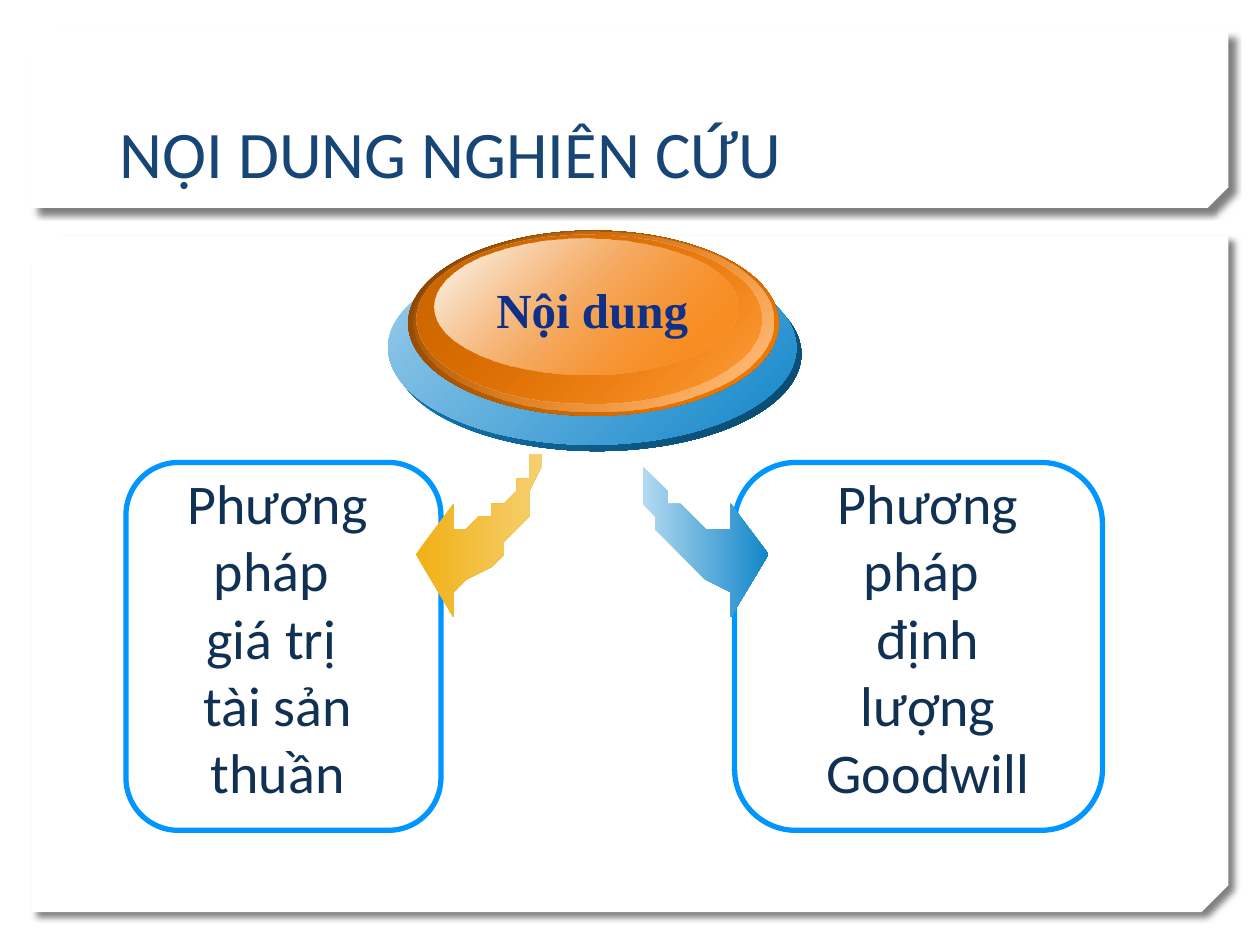
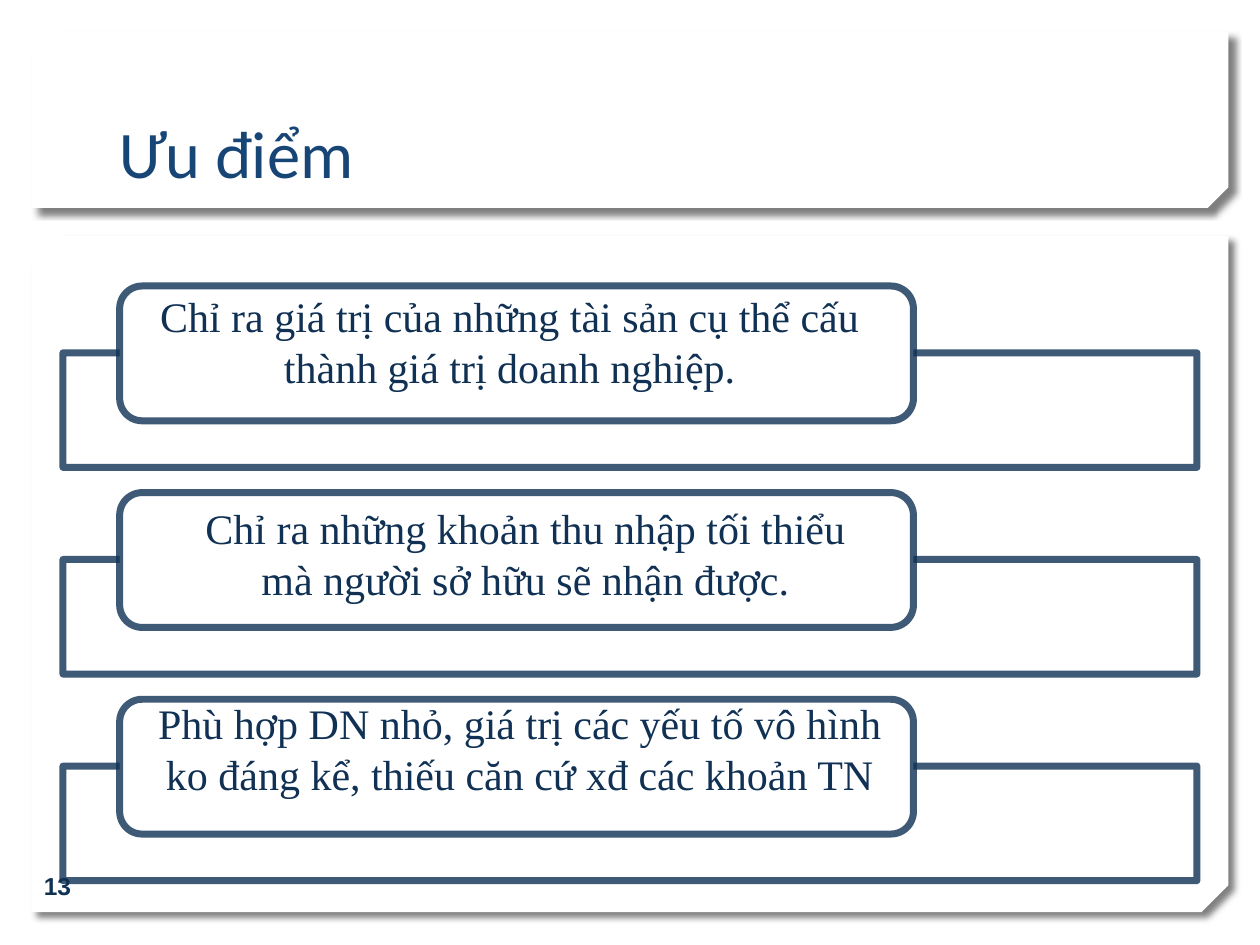
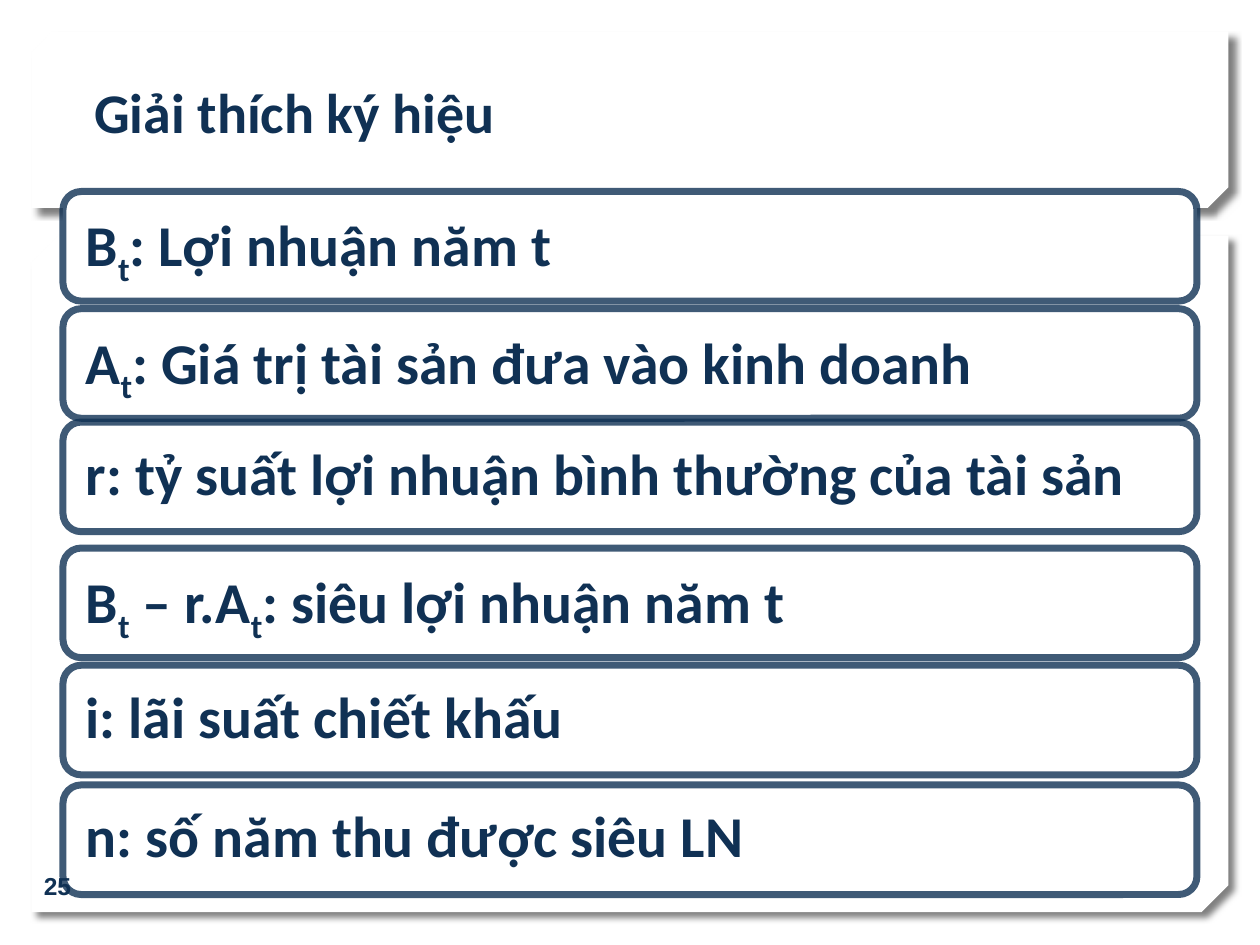
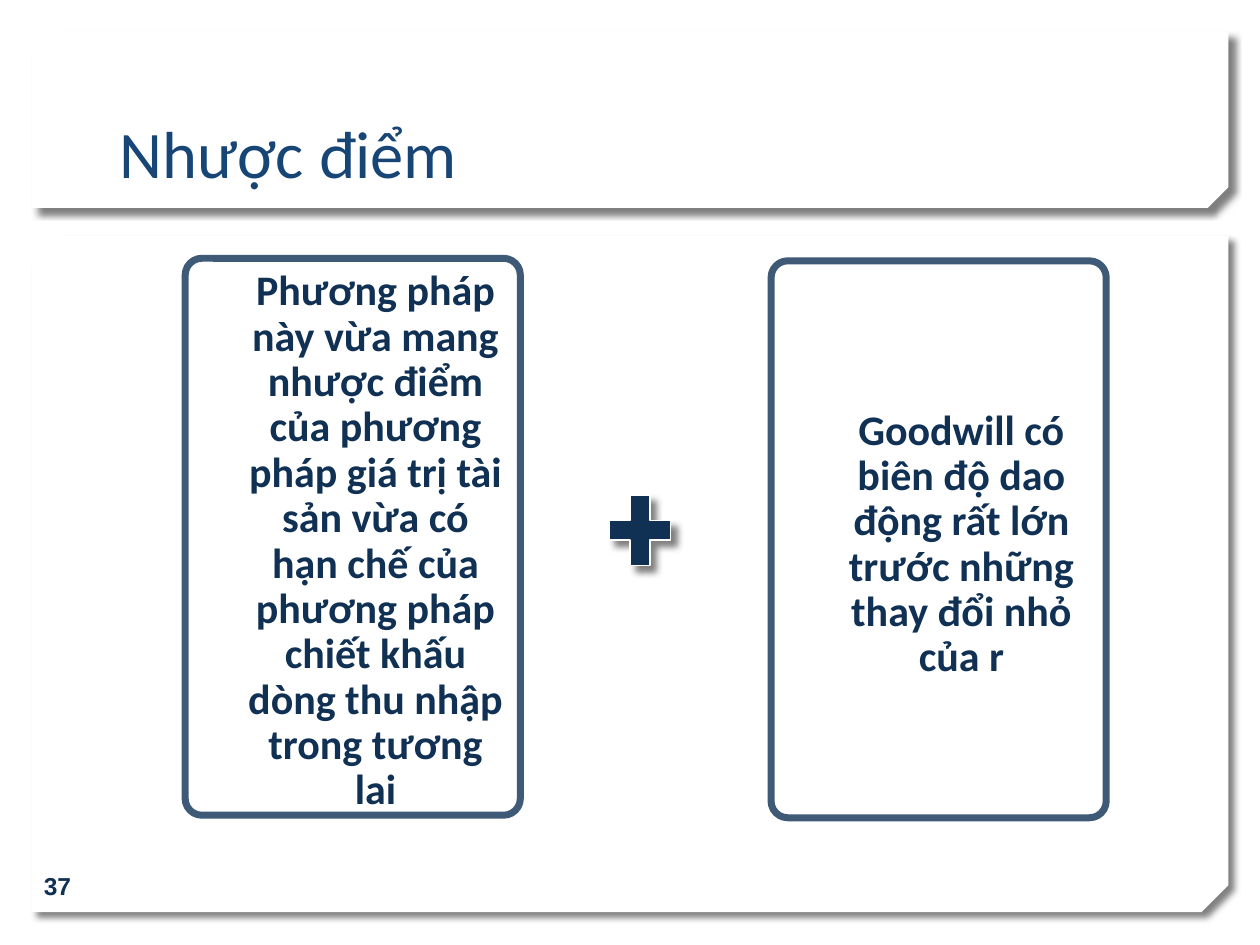
from dataclasses import dataclass

from lxml import etree
from pptx import Presentation
from pptx import util as u
from pptx.dml.color import RGBColor
from pptx.enum import shapes, text
from pptx.oxml.ns import qn

SHAPE = shapes.MSO_SHAPE
ANCHOR = text.MSO_ANCHOR
ALIGN = text.PP_ALIGN
COLS, ROWS = 100, 75
CELL = u.Inches(0.1)


@dataclass(frozen=True)
class Theme:
    # Colours
    paper: str = "FFFFFF"
    title: str = "174576"
    ink: str = "103154"
    frame: str = "0096FF"
    badge_text: str = "103088"
    shadow: str = "000000"
    gold: tuple = ("F1B015", "F6D070")
    sky: tuple = ("B4DAF0", "1286C9")
    # Fonts
    sans: str = "Calibri"
    serif: str = "Times New Roman"
    number: str = "Arial"
    # Type sizes
    title_size: int = 38
    symbol_size: int = 33
    large: int = 32
    badge_size: int = 28
    body: int = 24
    small: int = 14


def set_alpha(color, percent):
    etree.SubElement(color, qn("a:alpha")).set("val", str(percent * 1000))


class Deck:
    """Holds the theme and the current slide; lengths are grid cells."""

    def __init__(self, theme):
        self.t = theme
        self.prs = Presentation()
        self.prs.slide_width = COLS * CELL
        self.prs.slide_height = ROWS * CELL
        self.s = None

    def slide(self, title=None):
        self.s = self.prs.slides.add_slide(self.prs.slide_layouts[6])
        for top, height, snip in ((18.7, 53.7, 0.04), (2.5, 14, 0.117)):
            sp = self.shape(SHAPE.SNIP_2_DIAG_RECTANGLE, 2.5, top, 95, height,
                            fill=self.t.paper, adj=(0, snip), shadow=True)
            sp.element.spPr.find(qn("a:xfrm")).set("flipV", "1")
        if title:
            self.text(title, 8.5, 3.2, 82.9, 12.5, size=self.t.title_size,
                      color=self.t.title, anchor=ANCHOR.BOTTOM)

    def page_number(self, number):
        self.text(str(number), 2.5, 68.3, 23.3, 4, size=self.t.small,
                  font=self.t.number, bold=True, anchor=ANCHOR.MIDDLE)

    def shape(self, kind, x, y, w, h, fill=None, line=None, adj=(), shadow=False):
        """fill is a colour; line is (colour, points, opacity)."""
        sp = self.s.shapes.add_shape(kind, *(round(v * CELL) for v in (x, y, w, h)))
        for i, value in enumerate(adj):
            sp.adjustments[i] = value
        if fill:
            sp.fill.solid()
            sp.fill.fore_color.rgb = RGBColor.from_string(fill)
        else:
            sp.fill.background()
        self.outline(sp, line)
        sp.shadow.inherit = False
        if shadow:
            self.drop_shadow(sp)
        return sp

    def outline(self, sp, line):
        if not line:
            sp.line.fill.background()
            return
        color, width, opacity = line
        sp.line.color.rgb = RGBColor.from_string(color)
        sp.line.width = u.Pt(width)
        if opacity < 100:
            set_alpha(next(sp.line._get_or_add_ln().iter(qn("a:srgbClr"))), opacity)

    def drop_shadow(self, sp):
        effects = sp.element.spPr.find(qn("a:effectLst"))
        shadow = etree.SubElement(effects, qn("a:outerShdw"), blurRad=str(u.Pt(4)),
                                  dist=str(u.Pt(5)), dir="2700000", algn="tl",
                                  rotWithShape="0")
        color = etree.SubElement(shadow, qn("a:srgbClr"), val=self.t.shadow)
        set_alpha(color, 50)

    def gradient(self, sp, colors, angle=0, opacity=(100, 100)):
        sp.fill.gradient()
        sp.fill.gradient_angle = -angle % 360
        for stop, color in zip(sp.fill.gradient_stops, colors):
            stop.color.rgb = RGBColor.from_string(color)
        grad = sp.element.spPr.find(qn("a:gradFill"))
        for color, percent in zip(list(grad.iter(qn("a:srgbClr"))), opacity):
            if percent < 100:
                set_alpha(color, percent)

    def ellipse(self, x, y, w, h, colors, opacity=(100, 100)):
        self.gradient(self.shape(SHAPE.OVAL, x, y, w, h), colors, 45, opacity)

    def freeform(self, points, colors):
        builder = self.s.shapes.build_freeform(*points[0], scale=float(CELL))
        builder.add_line_segments(points[1:], close=True)
        sp = builder.convert_to_shape()
        self.gradient(sp, colors)
        self.outline(sp, None)
        sp.shadow.inherit = False

    def card(self, x, y, w, h, kind=SHAPE.ROUNDED_RECTANGLE, adj=()):
        return self.shape(kind, x, y, w, h, fill=self.t.paper,
                          line=(self.t.ink, 4, 80), adj=adj)

    def text(self, content, x, y, w, h, size, font=None, color=None, bold=False,
             align=ALIGN.LEFT, anchor=ANCHOR.TOP, insets=(1, 0.5, 1, 0.5),
             spacing=None, wrap=True):
        """Lines become paragraphs; parts between bars are subscripts."""
        box = self.s.shapes.add_textbox(*(round(v * CELL) for v in (x, y, w, h)))
        tf = box.text_frame
        tf.word_wrap = wrap
        tf.vertical_anchor = anchor
        tf.margin_left, tf.margin_top, tf.margin_right, tf.margin_bottom = (
            round(v * CELL) for v in insets)
        tf.text = content.replace("|", "")
        for p, line in zip(tf.paragraphs, content.split("\n")):
            p.alignment = align
            p.line_spacing = spacing
            parts = line.split("|")
            p.runs[0].text = parts[0]
            for part in parts[1:]:
                p.add_run().text = part
            for i, r in enumerate(p.runs):
                r.font.size = u.Pt(size)
                r.font.name = font or self.t.sans
                r.font.bold = bold
                r.font.color.rgb = RGBColor.from_string(color or self.t.ink)
                if i % 2:
                    r.font._element.set("baseline", "-25000")


# Left arrow outline in grid cells; the right arrow mirrors it
ARROW = [(42.6, 35.6), (42.6, 37.1), (42.4, 38.6), (42.1, 39.9), (41.7, 41.1),
         (41.2, 42.2), (40.4, 43.3), (39.6, 44.3), (38.6, 45.1), (37.3, 46),
         (35.9, 46.8), (35.9, 49.2), (32.7, 44.4), (35.9, 39.5), (35.9, 41.9),
         (36.6, 41.9), (37.2, 41.7), (38, 41.3), (38.7, 40.9), (39.4, 40.4),
         (40.1, 39.8), (40.8, 39.1), (41.4, 38.4), (41.9, 37.7), (42.2, 37),
         (42.5, 36.3)]
ARROW_AXIS = 46.7


def content_slide(d):
    t = d.t
    d.slide("NỘI DUNG NGHIÊN CỨU")
    # Method frames and the arrows to them
    for x, w in ((58.3, 29.2), (10, 25)):
        d.shape(SHAPE.ROUNDED_RECTANGLE, x, 36.7, w, 29.2, line=(t.frame, 3, 100))
    d.freeform(ARROW, t.gold)
    d.freeform([(2 * ARROW_AXIS - x, y) for x, y in ARROW], t.sky)
    # Layered badge
    d.ellipse(31.2, 20.4, 32.4, 15.4, ("1286C9", "0A4668"))
    d.ellipse(30.8, 19.9, 32.4, 15.4, ("9CCDEB", "1286C9"))
    d.ellipse(32.4, 18.3, 29.4, 14.7, ("7F4001", "FF7F01"))
    d.ellipse(32.8, 18.4, 28.6, 14.3, ("FF7F01", "FFC891"), (0, 100))
    d.ellipse(33.1, 18.6, 27.3, 13.4, ("CC6600", "FF7F01"), (100, 48))
    d.ellipse(34.5, 18.9, 24, 10.8, ("FFFFFF", "FF7F01"), (100, 38))
    d.text("Nội dung", 38.3, 21.7, 17.4, 5.7, size=t.badge_size, font=t.serif,
           color=t.badge_text, bold=True, align=ALIGN.CENTER, wrap=False)
    # Method names
    for x, name in ((64.5, "Phương pháp \nđịnh lượng Goodwill"),
                    (12.9, "Phương pháp \ngiá trị \ntài sản thuần")):
        d.text(name, x, 36.7, 18.3, 27.9, size=t.large, align=ALIGN.CENTER)


def strengths_slide(d):
    d.slide("Ưu điểm")
    for i in range(3):
        top = 22.7 + 16.4 * i
        d.card(5, top + 5.3, 90, 9.1, SHAPE.RECTANGLE)
        d.card(9.5, top, 63, 10.7)
    d.page_number(13)
    strengths = (
        (11.7, 22.6, 57.5, 10.6, "Chỉ ra giá trị của những tài sản cụ thể cấu "
         "thành giá trị doanh nghiệp."),
        (14.2, 39.4, 55, 10.6, "Chỉ ra những khoản thu nhập tối thiểu mà người "
         "sở hữu sẽ nhận được."),
        (10, 54.9, 62.5, 9.1, "Phù hợp DN nhỏ, giá trị các yếu tố vô hình ko "
         "đáng kể, thiếu căn cứ xđ các khoản TN"),
    )
    for x, y, w, h, strength in strengths:
        d.text(strength, x, y, w, h, size=d.t.body, font=d.t.serif,
               align=ALIGN.CENTER)


def symbols_slide(d):
    d.slide()
    symbols = (
        (15.2, "B|t|: Lợi nhuận năm t"),
        (24.5, "A|t|: Giá trị tài sản đưa vào kinh doanh"),
        (33.5, "r: tỷ suất lợi nhuận bình thường của tài sản"),
        (43.5, "B|t| – r.A|t|: siêu lợi nhuận năm t"),
        (52.8, "i: lãi suất chiết khấu"),
        (62.3, "n: số năm thu được siêu LN"),
    )
    for top, meaning in symbols:
        d.card(5, top, 90, 8.7)
        d.text(meaning, 5.4, top + 0.4, 89.2, 7.8, size=d.t.symbol_size, bold=True,
               anchor=ANCHOR.MIDDLE, insets=(1.4,) * 4, spacing=0.9)
    d.page_number(25)
    d.text("Giải thích ký hiệu", 6.5, 5.7, 51, 6.4, size=d.t.large, bold=True)


def weaknesses_slide(d):
    d.slide("Nhược điểm")
    weaknesses = (
        (14.7, 20.5, ANCHOR.TOP, "Phương pháp này vừa mang nhược điểm của phương "
         "pháp giá trị tài sản vừa có hạn chế của phương pháp chiết khấu dòng thu "
         "nhập trong tương lai"),
        (61.2, 20.7, ANCHOR.MIDDLE, "Goodwill có biên độ dao động rất lớn trước "
         "những thay đổi nhỏ của r"),
    )
    for x, y, anchor, weakness in weaknesses:
        d.card(x, y, 26.6, 44.2, adj=(0.05,))
        d.text(weakness, x + 4.8, y, 21.8, 44.2, size=d.t.body, bold=True,
               align=ALIGN.CENTER, anchor=anchor, insets=(0, 0.9, 1.2, 0),
               spacing=0.9)
    d.shape(SHAPE.MATH_PLUS, 47.5, 38.3, 6.6, 7.6, fill=d.t.ink,
            line=(d.t.paper, 1, 100), shadow=True)
    d.page_number(37)


def main():
    d = Deck(Theme())
    for build in (content_slide, strengths_slide, symbols_slide, weaknesses_slide):
        build(d)
    d.prs.save("out.pptx")


if __name__ == "__main__":
    main()
